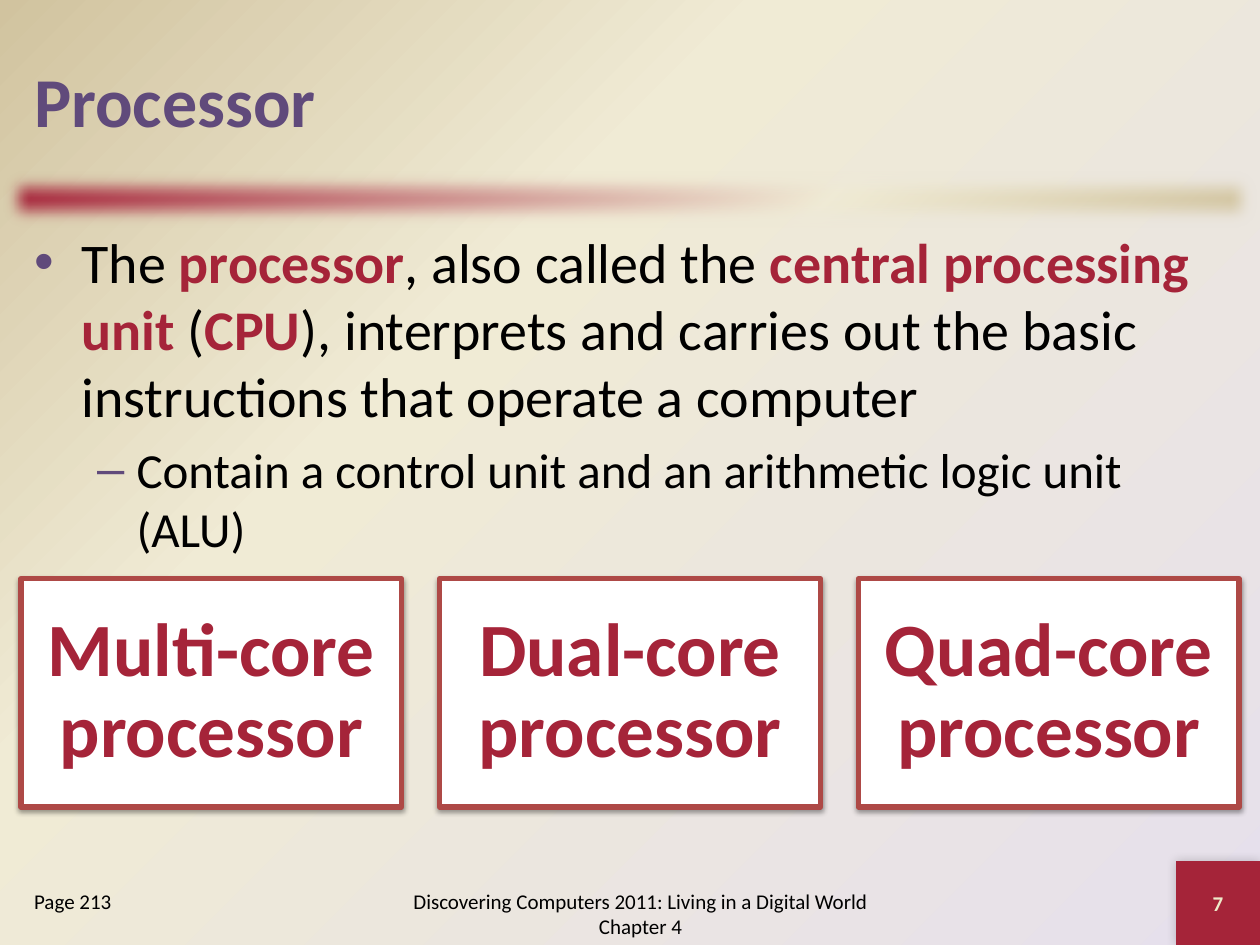
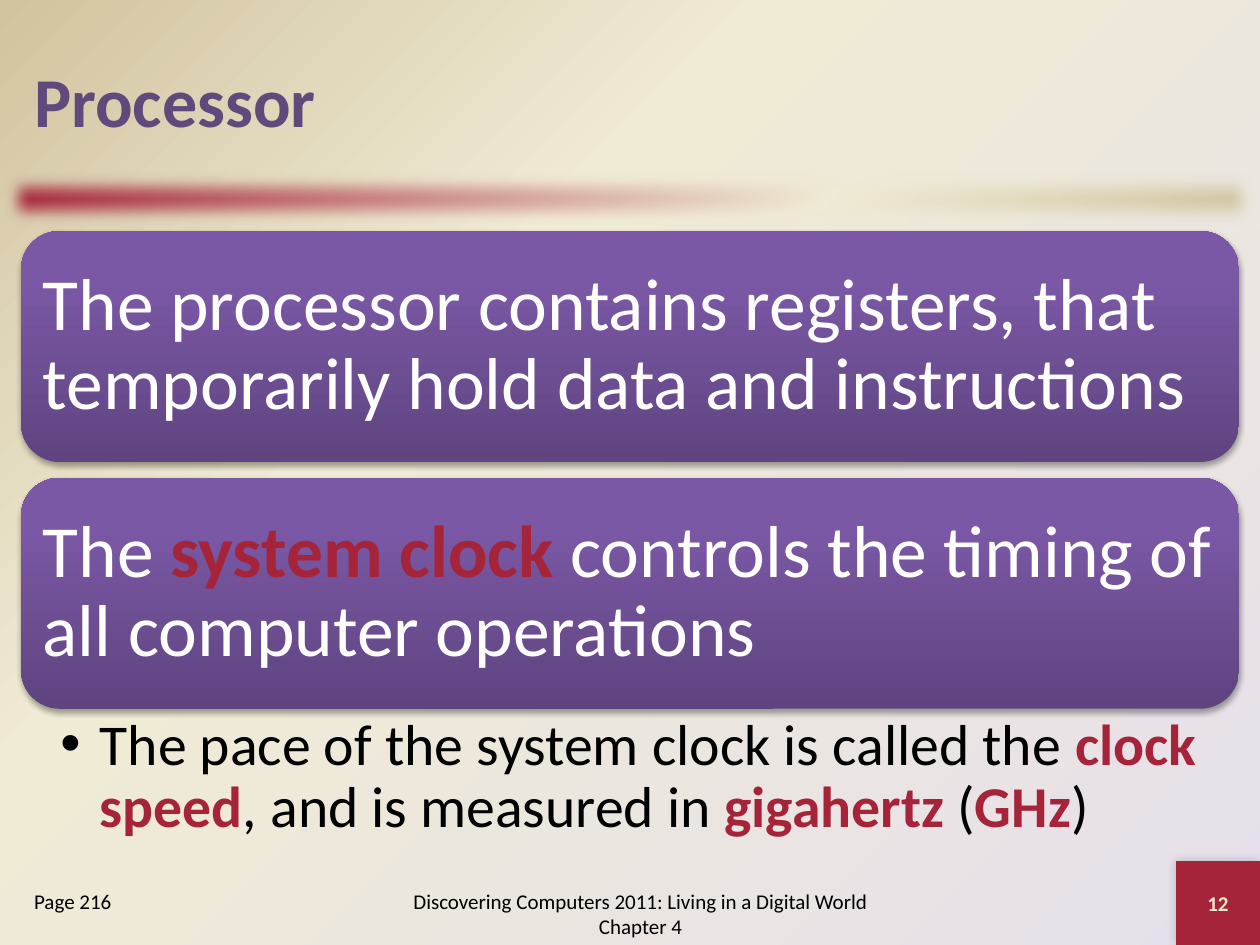
from dataclasses import dataclass
from typing import NamedTuple, Optional

from pptx import Presentation
from pptx.dml.color import RGBColor
from pptx.enum.shapes import MSO_SHAPE
from pptx.enum.text import MSO_ANCHOR, PP_ALIGN
from pptx.oxml import parse_xml
from pptx.oxml.ns import nsdecls, qn
from pptx.util import Pt

RECT, ROUNDED = MSO_SHAPE.RECTANGLE, MSO_SHAPE.ROUNDED_RECTANGLE
TOP, MIDDLE = MSO_ANCHOR.TOP, MSO_ANCHOR.MIDDLE
LEFT, CENTER = PP_ALIGN.LEFT, PP_ALIGN.CENTER

BLACK = RGBColor(0x00, 0x00, 0x00)
WHITE = RGBColor(0xFF, 0xFF, 0xFF)
CRIMSON = RGBColor(0xA5, 0x24, 0x39)
BRICK = RGBColor(0xAE, 0x49, 0x46)
PURPLE = RGBColor(0x60, 0x4A, 0x7B)
LAVENDER = RGBColor(0xE6, 0xE0, 0xEC)
CREAM = RGBColor(0xF0, 0xEB, 0xD5)
TAN = RGBColor(0xD1, 0xC3, 0x9F)
PALE = RGBColor(0xEE, 0xEB, 0xCA)
PANEL_DARK = RGBColor(0x5F, 0x44, 0x80)
PANEL_MID = RGBColor(0x7B, 0x58, 0xA6)
PANEL_LIGHT = RGBColor(0x7C, 0x57, 0xA8)

FONT = "Calibri"
EMU_PER_PX = 9525
EMU_PER_PT = 12700
SLIDE_W, SLIDE_H = 960, 720
MARGIN = 16
CONTENT_W = SLIDE_W - 2 * MARGIN
CORNER = 64

BACKDROP_STOPS = [(0, LAVENDER), (65, CREAM), (100, TAN)]
BAND_STOPS = [(0, CRIMSON), (65, CREAM), (100, TAN)]
PANEL_STOPS = [(0, PANEL_DARK), (80, PANEL_MID), (100, PANEL_LIGHT)]
FROM_CORNER = ('<a:path path="circle">'
               '<a:fillToRect l="100000" t="100000"/></a:path>')
FOOTER = "Discovering Computers 2011: Living in a Digital World Chapter 4"


class Box(NamedTuple):
    left: int
    top: int
    width: int
    height: int


class Run(NamedTuple):
    text: str
    key_term: bool = False


class Shadow(NamedTuple):
    opacity: int
    blur: float
    distance: float
    angle: int


@dataclass(frozen=True)
class Style:
    size: int
    color: RGBColor = BLACK
    bold: bool = False
    align: PP_ALIGN = LEFT
    line_spacing: Optional[float] = None
    space_before: int = 0
    space_after: int = 0
    bullet: str = ""
    bullet_color: RGBColor = BLACK
    indent: int = 0
    hanging: int = 0


@dataclass(frozen=True)
class Paragraph:
    runs: list[Run]
    style: Style


TITLE = Style(40, PURPLE, bold=True)
POINT = Style(32, bullet="•", bullet_color=PURPLE, indent=36, hanging=36)
SUBPOINT = Style(28, space_before=6, bullet="–", bullet_color=PURPLE,
                 indent=78, hanging=30)
SMALL = Style(12)
SMALL_CENTERED = Style(12, align=CENTER)
NUMBER = Style(12, PALE, bold=True, align=CENTER)
CORE = Style(43, CRIMSON, bold=True, align=CENTER, line_spacing=0.9,
             space_after=15)
STATEMENT = Style(42, WHITE, line_spacing=0.9, space_after=15)
DETAIL = Style(33, line_spacing=0.9, space_after=7, bullet="•",
               indent=30, hanging=30)

CORNER_SHADOW = Shadow(20, 6, 0, 225)
CORE_SHADOW = Shadow(38, 3.1, 1.6, 90)
PANEL_SHADOW = Shadow(35, 3.1, 1.8, 90)


def px(length: int) -> int:
    return length * EMU_PER_PX


def gradient(stops: list, direction: str):
    marks = "".join(f'<a:gs pos="{at * 1000}"><a:srgbClr val="{color}"/></a:gs>'
                    for at, color in stops)
    return parse_xml(f'<a:gradFill {nsdecls("a")} rotWithShape="1">'
                     f"<a:gsLst>{marks}</a:gsLst>{direction}</a:gradFill>")


def linear(angle: int) -> str:
    return f'<a:lin ang="{angle * 60000}" scaled="0"/>'


def add_effect(shape, effect) -> None:
    shape._element.spPr.find(qn("a:effectLst")).append(effect)


def add_shadow(shape, shadow: Shadow) -> None:
    add_effect(shape, parse_xml(
        f'<a:outerShdw {nsdecls("a")} blurRad="{round(shadow.blur * EMU_PER_PT)}" '
        f'dist="{round(shadow.distance * EMU_PER_PT)}" '
        f'dir="{shadow.angle * 60000}" rotWithShape="0">'
        f'<a:srgbClr val="{BLACK}"><a:alpha val="{shadow.opacity * 1000}"/>'
        "</a:srgbClr></a:outerShdw>"))


def add_plain_shape(slide, kind, box: Box):
    """Add a preset shape without fill, line or shadow."""
    shape = slide.shapes.add_shape(kind, *map(px, box))
    shape.fill.background()
    shape.line.fill.background()
    shape.shadow.inherit = False
    return shape


def fill_gradient(shape, stops: list, angle: int) -> None:
    properties = shape._element.spPr
    properties.replace(properties.find(qn("a:noFill")),
                       gradient(stops, linear(angle)))


def add_bullet(paragraph, style: Style) -> None:
    properties = paragraph._p.get_or_add_pPr()
    properties.set("marL", str(px(style.indent)))
    properties.set("indent", str(-px(style.hanging)))
    for tag in (f'<a:buClr {nsdecls("a")}><a:srgbClr val="{style.bullet_color}"/>'
                "</a:buClr>",
                f'<a:buFont {nsdecls("a")} typeface="Arial"/>',
                f'<a:buChar {nsdecls("a")} char="{style.bullet}"/>'):
        properties.append(parse_xml(tag))


def write(shape, paragraphs: list[Paragraph], anchor=MIDDLE,
          insets: tuple[int, int, int, int] = (10, 5, 10, 5)) -> None:
    frame = shape.text_frame
    frame.word_wrap = True
    frame.vertical_anchor = anchor
    (frame.margin_left, frame.margin_top,
     frame.margin_right, frame.margin_bottom) = map(px, insets)
    for index, content in enumerate(paragraphs):
        paragraph = frame.add_paragraph() if index else frame.paragraphs[0]
        style = content.style
        if style.bullet:
            add_bullet(paragraph, style)
        paragraph.alignment = style.align
        paragraph.line_spacing = style.line_spacing
        paragraph.space_before = Pt(style.space_before)
        paragraph.space_after = Pt(style.space_after)
        for part in content.runs:
            run = paragraph.add_run()
            run.text = part.text
            run.font.name = FONT
            run.font.size = Pt(style.size)
            run.font.bold = style.bold or part.key_term
            run.font.color.rgb = CRIMSON if part.key_term else style.color


def add_text(slide, box: Box, paragraphs: list[Paragraph], **layout) -> None:
    write(slide.shapes.add_textbox(*map(px, box)), paragraphs, **layout)


def line_of(text: str, style: Style) -> list[Paragraph]:
    return [Paragraph([Run(text)], style)]


def start_slide(deck, title: str, book_page: int, number: int):
    """Add a slide with the backdrop, title, band and footer all slides share."""
    slide = deck.slides.add_slide(deck.slide_layouts[6])
    backdrop = parse_xml(f'<p:bg {nsdecls("p", "a")}><p:bgPr><a:effectLst/>'
                         "</p:bgPr></p:bg>")
    backdrop[0].insert(0, gradient(BACKDROP_STOPS, FROM_CORNER))
    slide._element.cSld.insert(0, backdrop)

    band = add_plain_shape(slide, RECT, Box(0, 128, SLIDE_W, 48))
    fill_gradient(band, BAND_STOPS, 45)
    add_effect(band, parse_xml(f'<a:softEdge {nsdecls("a")} rad="{10 * EMU_PER_PT}"/>'))

    corner = add_plain_shape(slide, RECT, Box(SLIDE_W - CORNER, SLIDE_H - CORNER,
                                              CORNER, CORNER))
    corner.fill.solid()
    corner.fill.fore_color.rgb = CRIMSON
    add_shadow(corner, CORNER_SHADOW)
    write(corner, line_of(str(number), NUMBER))

    add_text(slide, Box(MARGIN, 16, CONTENT_W, 120), line_of(title, TITLE))
    add_text(slide, Box(288, 672, 400, 48), line_of(FOOTER, SMALL_CENTERED))
    add_text(slide, Box(MARGIN, 672, 176, 48),
             line_of(f"Page {book_page}", SMALL), anchor=TOP)
    return slide


def add_core_card(slide, box: Box, label: str) -> None:
    card = add_plain_shape(slide, RECT, box)
    card.fill.solid()
    card.fill.fore_color.rgb = WHITE
    card.line.color.rgb = BRICK
    card.line.width = Pt(3)
    add_shadow(card, CORE_SHADOW)
    write(card, line_of(label, CORE), insets=(17, 17, 17, 17))


def add_statement_panel(slide, box: Box, runs: list[Run]) -> None:
    panel = add_plain_shape(slide, ROUNDED, box)
    fill_gradient(panel, PANEL_STOPS, 270)
    add_shadow(panel, PANEL_SHADOW)
    write(panel, [Paragraph(runs, STATEMENT)], insets=(8, 8, 8, 8))


def build_definition_slide(deck) -> None:
    slide = start_slide(deck, "Processor", 213, 7)
    add_text(slide, Box(MARGIN, 168, CONTENT_W, 488), [
        Paragraph([Run("The "), Run("processor", True), Run(", also called the "),
                   Run("central processing unit ", True), Run("("), Run("CPU", True),
                   Run("), interprets and carries out the basic instructions "
                       "that operate a computer")], POINT),
        Paragraph([Run("Contain a control unit and an arithmetic logic unit (ALU)")],
                  SUBPOINT),
    ], anchor=TOP)
    card_w, gap = 290, 29
    for column, cores in enumerate(("Multi", "Dual", "Quad")):
        left = MARGIN + column * (card_w + gap)
        add_core_card(slide, Box(left, 441, card_w, 174), f"{cores}-core processor")


def build_clock_slide(deck) -> None:
    slide = start_slide(deck, "Processor", 216, 12)
    statements = [
        [Run("The processor contains registers, that temporarily hold data "
             "and instructions")],
        [Run("The "), Run("system clock ", True),
         Run("controls the timing of all computer operations")],
    ]
    panel_h, gap = 176, 12
    for row, runs in enumerate(statements):
        top = 176 + row * (panel_h + gap)
        add_statement_panel(slide, Box(MARGIN, top, CONTENT_W, panel_h), runs)
    add_text(slide, Box(MARGIN, 539, CONTENT_W, 109), [
        Paragraph([Run("The pace of the system clock is called the "),
                   Run("clock speed", True), Run(", and is measured in "),
                   Run("gigahertz", True), Run(" ("), Run("GHz", True), Run(")")],
                  DETAIL),
    ], anchor=TOP, insets=(30, 6, 32, 6))


def main() -> None:
    deck = Presentation()
    deck.slide_width, deck.slide_height = px(SLIDE_W), px(SLIDE_H)
    build_definition_slide(deck)
    build_clock_slide(deck)
    deck.save("out.pptx")


if __name__ == "__main__":
    main()
